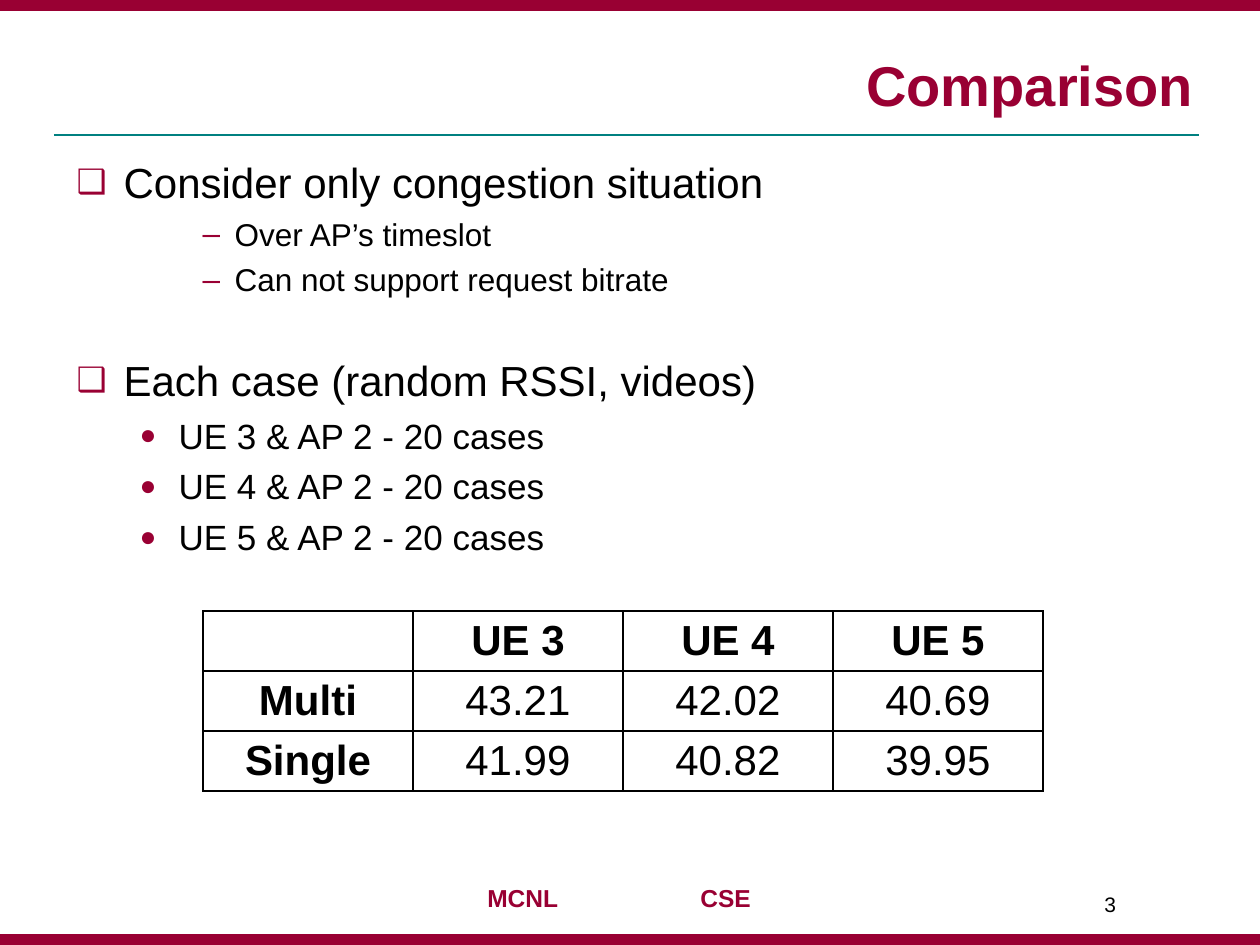
"""Build the Comparison slide: a bulleted list above a bitrate table."""
from lxml.etree import SubElement
from pptx import Presentation
from pptx.dml.color import RGBColor
from pptx.enum.shapes import MSO_CONNECTOR, MSO_SHAPE
from pptx.enum.text import MSO_ANCHOR, MSO_AUTO_SIZE, PP_ALIGN
from pptx.oxml import parse_xml
from pptx.oxml.ns import nsdecls, qn
from pptx.util import Emu, Pt

CRIMSON, TEAL, BLACK, WHITE = "990033", "008080", "000000", "FFFFFF"


def px(*lengths):
    return [Emu(round(length * 914400 / 126)) for length in lengths]


def style(font, size, color=BLACK, bold=False):
    font.name, font.size, font.bold = "Arial", Pt(size), bold
    font.color.rgb = RGBColor.from_string(color)


deck = Presentation()
deck.slide_width, deck.slide_height = px(1260, 945)
slide = deck.slides.add_slide(deck.slide_layouts[1])
shapes = slide.shapes

rule = shapes.add_connector(MSO_CONNECTOR.STRAIGHT, *px(54, 135, 1199, 135))
rule.line.color.rgb = RGBColor.from_string(TEAL)
rule.line.width = Pt(1)
SubElement(rule._element.spPr, qn("a:effectLst"))

for top in (935, 0):
    band = shapes.add_shape(MSO_SHAPE.RECTANGLE, *px(0, top, 1260, 10))
    band.shadow.inherit = False
    band.fill.solid()
    band.fill.fore_color.rgb = RGBColor.from_string(CRIMSON)
    band.line.color.rgb = RGBColor.from_string(CRIMSON)
    band.line.width = Pt(0.75)

title = shapes.title
title.left, title.top, title.width, title.height = px(63, 31, 1143, 93)
title.text_frame.text = "Comparison"
title.text_frame.vertical_anchor = MSO_ANCHOR.BOTTOM
title.text_frame.paragraphs[0].alignment = PP_ALIGN.RIGHT
style(title.text_frame.paragraphs[0].font, 32, CRIMSON, True)

levels = [
    {"size": 24, "margin": 47, "hang": 47, "bullet": "❑", "scale": 80},
    {"size": 20, "margin": 102, "hang": 39, "bullet": "●", "scale": 80},
    {"size": 18, "margin": 158, "hang": 32, "bullet": "‒", "scale": 100},
]
points = [
    (0, "Consider only congestion situation", 0),
    (2, "Over AP’s timeslot", 4.5),
    (2, "Can not support request bitrate", 4.5),
    (0, "Each case (random RSSI, videos)", 32.5),
    (1, "UE 3 & AP 2 - 20 cases", 5),
    (1, "UE 4 & AP 2 - 20 cases", 5),
    (1, "UE 5 & AP 2 - 20 cases", 5),
]
body = slide.placeholders[1]
body.left, body.top, body.width, body.height = px(64, 150, 1134, 714)
body.text_frame.auto_size = MSO_AUTO_SIZE.NONE
body.text_frame.text = "\n".join(text for _, text, _ in points)
for paragraph, (depth, _, gap) in zip(body.text_frame.paragraphs, points):
    level = levels[depth]
    paragraph.level = depth
    paragraph.alignment = PP_ALIGN.JUSTIFY
    paragraph.space_before = Pt(gap)
    margin, hang = px(level["margin"], level["hang"])
    properties = paragraph._p.get_or_add_pPr()
    properties.set("marL", str(margin))
    properties.set("indent", str(-hang))
    bullet_color = SubElement(properties, qn("a:buClr"))
    SubElement(bullet_color, qn("a:srgbClr"), val=CRIMSON)
    SubElement(properties, qn("a:buSzPct"), val=str(level["scale"] * 1000))
    SubElement(properties, qn("a:buFont"), typeface="Arial")
    SubElement(properties, qn("a:buChar"), char=level["bullet"])
    style(paragraph.font, level["size"])

bitrates = [
    ("", "UE 3", "UE 4", "UE 5"),
    ("Multi", "43.21", "42.02", "40.69"),
    ("Single", "41.99", "40.82", "39.95"),
]
table = shapes.add_table(3, 4, *px(203, 611, 840, 180)).table
table.first_row = table.horz_banding = False
for r, values in enumerate(bitrates):
    for c, value in enumerate(values):
        cell = table.cell(r, c)
        cell.margin_top, cell.margin_bottom = px(5, 5)
        cell.vertical_anchor = MSO_ANCHOR.MIDDLE
        cell.text = value
        cell.text_frame.paragraphs[0].alignment = PP_ALIGN.CENTER
        style(cell.text_frame.paragraphs[0].font, 24, BLACK, r == 0 or c == 0)
        for side in ("lnL", "lnR", "lnT", "lnB"):
            cell._tc.get_or_add_tcPr().append(parse_xml(
                f'<a:{side} {nsdecls("a")} w="12700"><a:solidFill>'
                f'<a:srgbClr val="{BLACK}"/></a:solidFill></a:{side}>'))
        cell.fill.solid()
        cell.fill.fore_color.rgb = RGBColor.from_string(WHITE)

footers = [
    ((475, 877, 291, 43), "MCNL\tCSE", 14, CRIMSON, True),
    ((1092, 885, 105, 50), "3", 12, BLACK, False),
]
for place, text, size, color, bold in footers:
    footer = shapes.add_textbox(*px(*place)).text_frame
    footer.word_wrap = True
    footer.text = text
    paragraph = footer.paragraphs[0]
    if "\t" in text:
        tabs = SubElement(paragraph._p.get_or_add_pPr(), qn("a:tabLst"))
        SubElement(tabs, qn("a:tab"), pos=str(px(213)[0]), algn="l")
    style(paragraph.font, size, color, bold)

deck.save("out.pptx")
